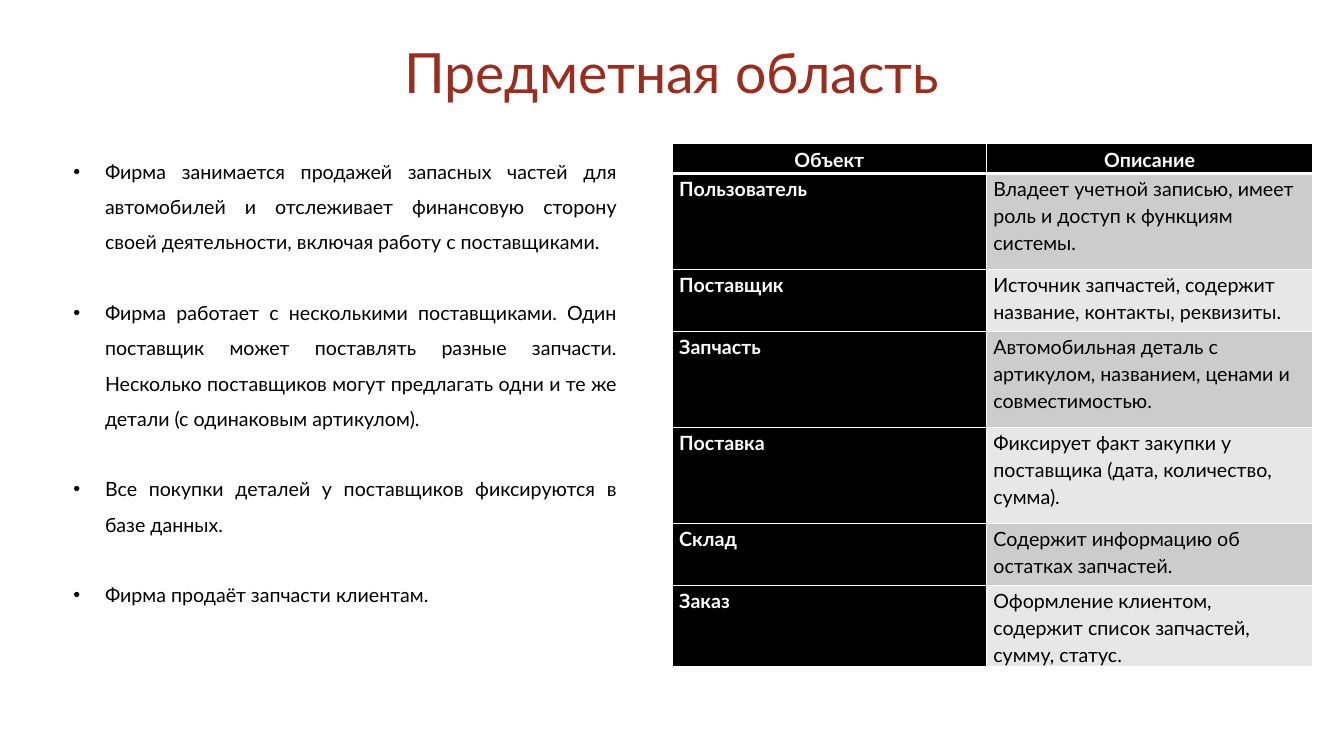
from typing import NamedTuple

from lxml.etree import SubElement
from pptx import Presentation
from pptx.dml.color import RGBColor
from pptx.enum.text import MSO_ANCHOR, MSO_AUTO_SIZE, PP_ALIGN
from pptx.oxml.ns import qn
from pptx.slide import Slide
from pptx.table import _Cell
from pptx.text.text import _Paragraph
from pptx.util import Pt

FONT = "Lato"
BLACK, WHITE, RED = "000000", "FFFFFF", "9B2D1F"
BANDS = ("CCCCCC", "E7E7E7")


class Entity(NamedTuple):
    name: str
    description: str
    height: float


FACTS = (
    "Фирма занимается продажей запасных частей для автомобилей и отслеживает "
    "финансовую сторону своей деятельности, включая работу с поставщиками.",
    "Фирма работает с несколькими поставщиками. Один поставщик может поставлять "
    "разные запчасти. Несколько поставщиков могут предлагать одни и те же детали "
    "(с одинаковым артикулом).",
    "Все покупки деталей у поставщиков фиксируются в базе данных.",
    "Фирма продаёт запчасти клиентам.",
)
HEADER = Entity("Объект", "Описание", 21.6)
ENTITIES = (
    Entity("Пользователь", "Владеет учетной записью, имеет роль и доступ к функциям системы.", 68.4),
    Entity("Поставщик", "Источник запчастей, содержит название, контакты, реквизиты.", 44.64),
    Entity("Запчасть", "Автомобильная деталь с артикулом, названием, ценами и совместимостью.", 68.4),
    Entity("Поставка", "Фиксирует факт закупки у поставщика (дата, количество, сумма).", 68.4),
    Entity("Склад", "Содержит информацию об остатках запчастей.", 44.64),
    Entity("Заказ", "Оформление клиентом, содержит список запчастей, сумму, статус.", 44.64),
)
COLUMN_WIDTHS = (224.4, 233.2)


def rgb(color: str) -> RGBColor:
    return RGBColor.from_string(color)


def format_runs(p: _Paragraph, size: float, color: str, bold: bool = False) -> None:
    for r in p.runs:
        r.font.name = FONT
        r.font.size = Pt(size)
        r.font.bold = bold
        r.font.color.rgb = rgb(color)


def add_bullet(p: _Paragraph, indent: float) -> None:
    pPr = p._p.get_or_add_pPr()
    pPr.set("marL", str(Pt(indent)))
    pPr.set("indent", str(-Pt(indent)))
    SubElement(pPr, qn("a:buFont"), typeface="Arial")
    SubElement(pPr, qn("a:buChar"), char="•")


def set_borders(cell: _Cell, top: float, bottom: float) -> None:
    tcPr = cell._tc.get_or_add_tcPr()
    for side, width in (("L", 1), ("R", 1), ("T", top), ("B", bottom)):
        ln = SubElement(tcPr, qn(f"a:ln{side}"), w=str(Pt(width)))
        fill = SubElement(ln, qn("a:solidFill"))
        SubElement(fill, qn("a:srgbClr"), val=WHITE)


def fill_cell(cell: _Cell, text: str, fill: str, row: int, dark: bool) -> None:
    is_header = row == 0
    set_borders(cell, top=3 if row == 1 else 1, bottom=3 if is_header else 1)
    cell.fill.solid()
    cell.fill.fore_color.rgb = rgb(fill)
    cell.margin_left = cell.margin_right = Pt(5)
    cell.margin_top = cell.margin_bottom = 0
    cell.vertical_anchor = MSO_ANCHOR.MIDDLE if is_header else MSO_ANCHOR.TOP
    p = cell.text_frame.paragraphs[0]
    p.text = text
    p.alignment = PP_ALIGN.CENTER if is_header else PP_ALIGN.LEFT
    p.line_spacing = 1.15
    p.space_after = Pt(8)
    format_runs(p, 14, WHITE if dark else BLACK, bold=dark)


def add_title(s: Slide, text: str) -> None:
    sp = s.shapes.title
    sp.left, sp.top, sp.width, sp.height = Pt(66), Pt(28.8), Pt(828), Pt(49.7)
    tf = sp.text_frame
    tf.text = text
    tf.auto_size = MSO_AUTO_SIZE.NONE
    tf.vertical_anchor = MSO_ANCHOR.MIDDLE
    p = tf.paragraphs[0]
    p.alignment = PP_ALIGN.CENTER
    p.line_spacing = 0.9
    format_runs(p, 39.6, RED)


def add_facts(s: Slide) -> None:
    sp = s.shapes.add_textbox(Pt(45.4), Pt(102.2), Pt(402.5), Pt(335.5))
    tf = sp.text_frame
    tf.word_wrap = True
    tf.text = "\n".join(FACTS)
    for p in tf.paragraphs:
        p.alignment = PP_ALIGN.JUSTIFY
        p.line_spacing = 1.5
        p.space_after = Pt(25.2)
        add_bullet(p, 22.5)
        format_runs(p, 14, BLACK)


def add_entities(s: Slide) -> None:
    rows = (HEADER, *ENTITIES)
    table = s.shapes.add_table(
        len(rows), len(COLUMN_WIDTHS), Pt(480.2), Pt(102.4),
        Pt(sum(COLUMN_WIDTHS)), Pt(sum(e.height for e in rows)),
    ).table
    for column, width in zip(table.columns, COLUMN_WIDTHS):
        column.width = Pt(width)
    for i, entity in enumerate(rows):
        is_header = i == 0
        table.rows[i].height = Pt(entity.height)
        fill_cell(table.cell(i, 0), entity.name, BLACK, i, dark=True)
        band = BLACK if is_header else BANDS[(i - 1) % 2]
        fill_cell(table.cell(i, 1), entity.description, band, i, dark=is_header)


def main() -> None:
    prs = Presentation()
    prs.slide_width, prs.slide_height = Pt(960), Pt(540)
    s = prs.slides.add_slide(prs.slide_layouts[5])

    # Title
    add_title(s, "Предметная область")
    # Facts about the company
    add_facts(s)
    # Table of entities
    add_entities(s)

    prs.save("out.pptx")


if __name__ == "__main__":
    main()
